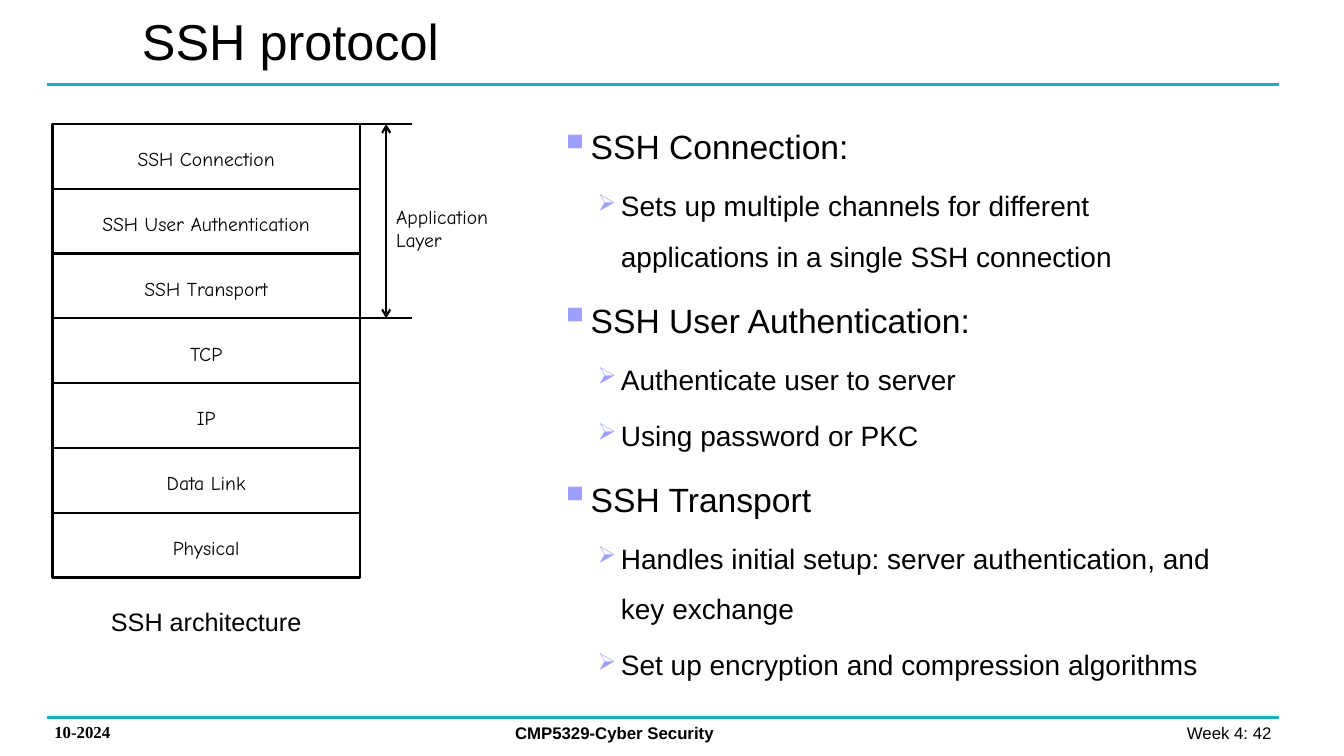
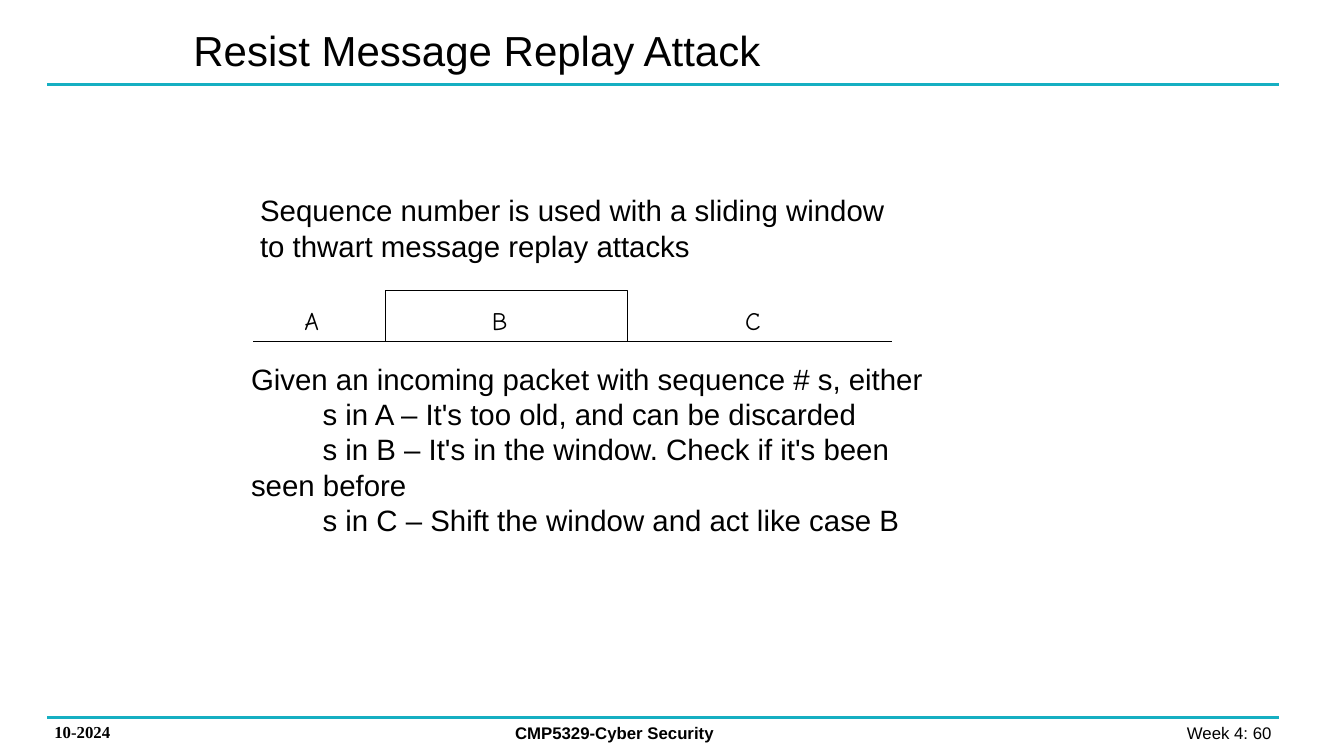
from lxml import etree
from pptx import Presentation
from pptx.dml.color import RGBColor
from pptx.enum.shapes import MSO_CONNECTOR, MSO_SHAPE
from pptx.enum.text import MSO_ANCHOR, PP_ALIGN
from pptx.oxml.ns import qn
from pptx.util import Pt

PX = 9144  # 100 px to the inch
LEFT, CENTER, RIGHT = PP_ALIGN.LEFT, PP_ALIGN.CENTER, PP_ALIGN.RIGHT
TOP, MIDDLE = MSO_ANCHOR.TOP, MSO_ANCHOR.MIDDLE
STRAIGHT, RECTANGLE = MSO_CONNECTOR.STRAIGHT, MSO_SHAPE.RECTANGLE

BLACK, WHITE, TEAL, LILAC = "000000", "FFFFFF", "16AFC2", "9E9EFF"
SANS, HAND, SERIF = "Arial", "Comic Neue", "Times New Roman"
NORMAL_INSET, TIGHT_INSET = (10, 5), (7, 3)

FOOTER_DATE = "10-2024"
FOOTER_COURSE = "CMP5329-Cyber Security"

LAYERS = ["SSH Connection", "SSH User Authentication", "SSH Transport",
          "TCP", "IP", "Data Link", "Physical"]
APPLICATION_LAYERS = 3
STACK = (52, 123, 305, 450)

OUTLINE = [
    (0, "SSH Connection:"),
    (1, "Sets up multiple channels for different applications in a single SSH connection"),
    (0, "SSH User Authentication:"),
    (1, "Authenticate user to server"),
    (1, "Using password or PKC"),
    (0, "SSH Transport"),
    (1, "Handles initial setup: server authentication, and key exchange"),
    (1, "Set up encryption and compression algorithms"),
]
LEVELS = [
    dict(size=24, margin=28, indent=-28, bullet="▪", bullet_size=125),
    dict(size=20, margin=61, indent=-23, bullet="➢", bullet_size=85),
]

REPLAY_INTRO = "Sequence number is used with a sliding window\vto thwart message replay attacks"
ZONES = [("A", 295), ("B", 481), ("C", 732)]
AXIS_Y = 339
AXIS_PARTS = [(251, 404), (601, 885)]
REPLAY_CASES = [
    ("Given an incoming packet with sequence # s, either", 0),
    ("s in A – It's too old, and can be discarded", 71),
    ("s in B – It's in the window. Check if it's been seen before", 71),
    ("s in C – Shift the window and act like case B", 71),
]


def px(*lengths):
    return [round(length * PX) for length in lengths]


def color(hex_code):
    return RGBColor.from_string(hex_code)


def add_frame(page, area, inset=NORMAL_INSET, anchor=TOP):
    """Add an empty wrapping text box and return its text frame."""
    frame = page.shapes.add_textbox(*px(*area)).text_frame
    frame.word_wrap = True
    frame.vertical_anchor = anchor
    frame.margin_left = frame.margin_right = px(inset[0])[0]
    frame.margin_top = frame.margin_bottom = px(inset[1])[0]
    return frame


def write(para, text, size=18, font=SANS, bold=False, align=LEFT, margin=0, indent=0):
    para.text = text
    para.alignment = align
    properties = para._p.get_or_add_pPr()
    properties.set("marL", str(margin * PX))
    properties.set("indent", str(indent * PX))
    for span in para.runs:
        span.font.name = font
        span.font.size = Pt(size)
        span.font.bold = bold
        span.font.color.rgb = color(BLACK)


def add_text(page, area, text, inset=NORMAL_INSET, anchor=TOP, **style):
    write(add_frame(page, area, inset, anchor).paragraphs[0], text, **style)


def paragraphs_for(frame, items):
    """Pair each item with its own paragraph, starting with the existing one."""
    for index, item in enumerate(items):
        yield frame.add_paragraph() if index else frame.paragraphs[0], item


def add_bullet(para, char, percent):
    properties = para._p.get_or_add_pPr()
    tint = etree.SubElement(properties, qn("a:buClr"))
    etree.SubElement(tint, qn("a:srgbClr"), val=LILAC)
    etree.SubElement(properties, qn("a:buSzPct"), val=str(percent * 1000))
    etree.SubElement(properties, qn("a:buChar"), char=char)


def add_line(page, start, end, hex_code=BLACK, width=1.5, arrows=False):
    line = page.shapes.add_connector(STRAIGHT, *px(*start, *end))
    line.line.color.rgb = color(hex_code)
    line.line.width = Pt(width)
    if arrows:
        outline = line.line._get_or_add_ln()
        for tag in ("a:headEnd", "a:tailEnd"):
            etree.SubElement(outline, qn(tag), type="arrow")
    etree.SubElement(line._element.spPr, qn("a:effectLst"))


def add_rectangle(page, area, width):
    box = page.shapes.add_shape(RECTANGLE, *px(*area))
    box.shadow.inherit = False
    box.fill.solid()
    box.fill.fore_color.rgb = color(WHITE)
    box.line.color.rgb = color(BLACK)
    box.line.width = Pt(width)


def add_page(deck, title, title_area, title_size, number):
    """Add a slide with the shared rules, footer and title."""
    page = deck.slides.add_slide(deck.slide_layouts[6])
    for y in (84, 712):
        add_line(page, (47, y), (1269, y), TEAL, 2.25)
    add_text(page, (982, 712, 289, 30), f"Week 4: {number}", size=12, align=RIGHT)
    add_text(page, (44, 711, 178, 30), FOOTER_DATE, size=12, font=SERIF, bold=True)
    add_text(page, (501, 712, 409, 30), FOOTER_COURSE, size=12, bold=True)
    add_text(page, title_area, title, anchor=MIDDLE, size=title_size)
    return page


def draw_stack(page):
    left, top, width, height = STACK
    pitch = height / len(LAYERS)
    right, reach, arrow_x = left + width, left + width + 52, left + width + 26
    add_rectangle(page, STACK, 2)
    for row, layer in enumerate(LAYERS):
        y = top + row * pitch
        end = reach if row in (0, APPLICATION_LAYERS) else right
        add_line(page, (left, y), (end, y))
        add_text(page, (left, y + 18, width, 34), layer, size=14, font=HAND, align=CENTER)
    add_line(page, (arrow_x, top), (arrow_x, top + APPLICATION_LAYERS * pitch), arrows=True)
    add_text(page, (arrow_x, 198, 136, 57), "Application Layer", size=14, font=HAND)
    add_text(page, (left, 597, width, 40), "SSH architecture", align=CENTER)


def draw_outline(page):
    frame = add_frame(page, (545, 100, 667, 508))
    for para, (level, text) in paragraphs_for(frame, OUTLINE):
        look = LEVELS[level]
        write(para, text, size=look["size"], margin=look["margin"], indent=look["indent"])
        add_bullet(para, look["bullet"], look["bullet_size"])
        para.level = level
        para.line_spacing = 1.5
        if para._p is not frame.paragraphs[0]._p:
            para.space_before = Pt(look["size"] * 0.2)


def draw_window(page):
    add_rectangle(page, (382, 288, 240, 51), 0.75)
    for start, end in AXIS_PARTS:
        add_line(page, (start, AXIS_Y), (end, AXIS_Y), width=0.75)
    for zone, x in ZONES:
        add_text(page, (x, 300, 33, 39), zone, TIGHT_INSET, font=HAND)


def main():
    deck = Presentation()
    deck.slide_width, deck.slide_height = px(1333, 750)

    protocol = add_page(deck, "SSH protocol", (131, 0, 985, 79), 36, 42)
    draw_outline(protocol)
    draw_stack(protocol)

    replay = add_page(deck, "Resist Message Replay Attack", (182, 0, 816, 99), 30, 60)
    add_text(replay, (251, 188, 644, 86), REPLAY_INTRO, TIGHT_INSET, size=21)
    draw_window(replay)
    cases = add_frame(replay, (242, 355, 696, 137), TIGHT_INSET)
    for para, (text, indent) in paragraphs_for(cases, REPLAY_CASES):
        write(para, text, size=21, indent=indent)

    deck.save("out.pptx")


if __name__ == "__main__":
    main()
